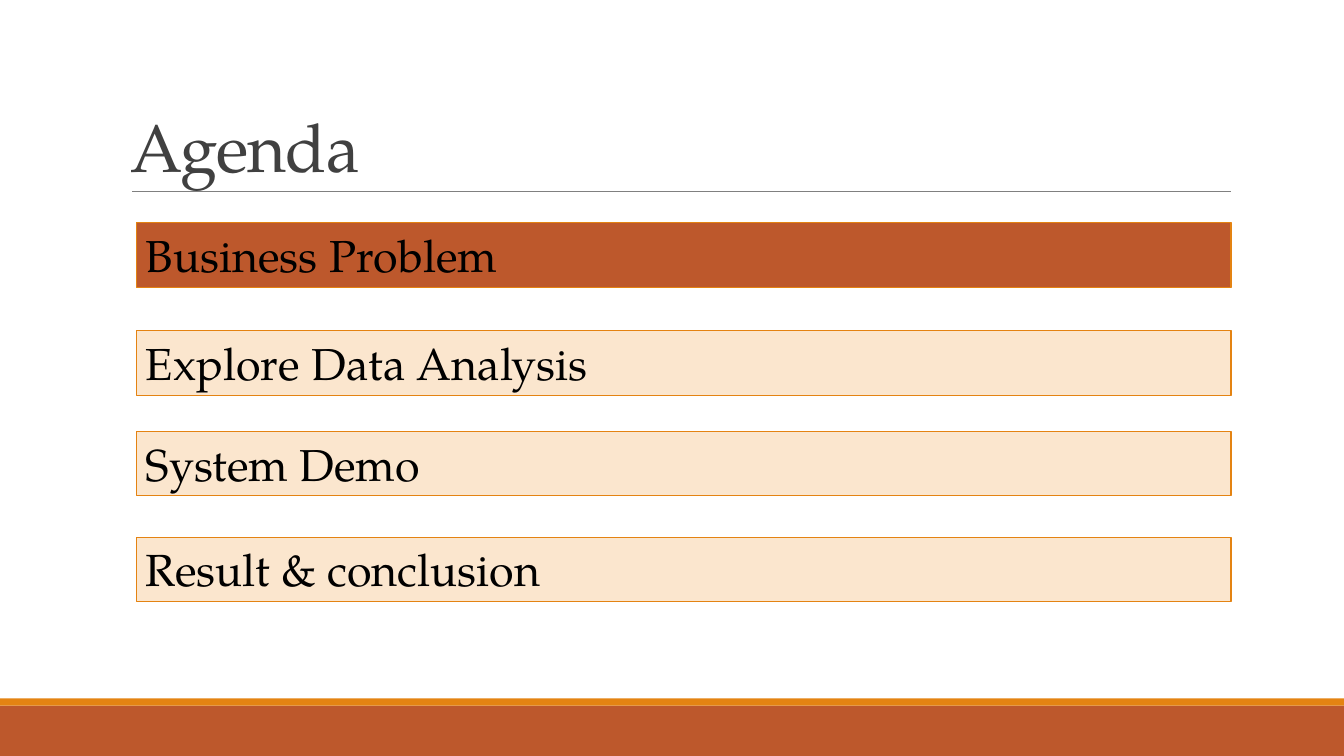
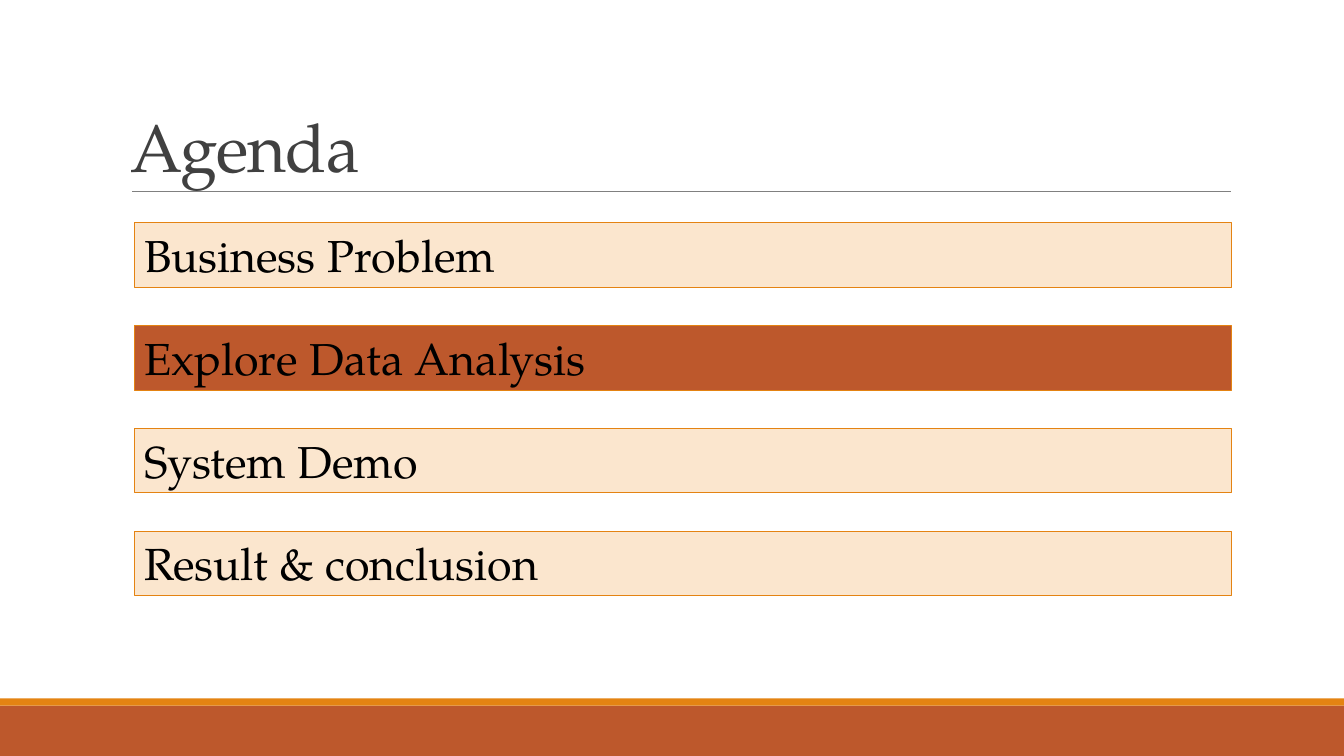
"""Build two agenda slides, each with its current topic marked."""
from pptx import Presentation
from pptx.dml.color import RGBColor as Rgb
from pptx.enum.shapes import MSO_CONNECTOR as Conn, MSO_SHAPE as Kind
from pptx.enum.text import MSO_ANCHOR as Anchor, MSO_AUTO_SIZE as Fit, PP_ALIGN as Align
from pptx.oxml.ns import qn
from pptx.util import Inches, Pt

TITLE = "Agenda"
TOPICS = ["Business Problem", "Explore Data Analysis", "System Demo", "Result & conclusion"]
PAGES = [
    {"mark": 0, "left": 1.35, "wide": 10.86, "tops": [2.21, 3.28, 4.28, 5.33]},
    {"mark": 1, "left": 1.33, "wide": 10.88, "tops": [2.21 + 1.02 * i for i in range(4)]},
]
HUES = {"rust": "BD582C", "gold": "E48312", "cream": "FBE6CE",
        "rule": "808080", "title": "404040", "text": "000000"}
FACE = "TeX Gyre Pagella"
WIDE, HIGH = 13.33, 7.5
BAR, FOOT, STRIPE = 0.64, 0.5, 0.07


def hue(name):
    return Rgb.from_string(HUES[name])


def box(slide, fill, *at):
    shape = slide.shapes.add_shape(Kind.RECTANGLE, *map(Inches, at))
    shape.shadow.inherit = False
    shape.fill.solid()
    shape.fill.fore_color.rgb = hue(fill)
    shape.line.fill.background()
    return shape


def write(shape, text, size, color, frame):
    for key, val in frame.items():
        setattr(shape.text_frame, key, val)
    para = shape.text_frame.paragraphs[0]
    para.alignment = Align.LEFT
    run = para.add_run()
    run.text = text
    for key, val in {"name": FACE, "size": Pt(size)}.items():
        setattr(run.font, key, val)
    run.font.color.rgb = hue(color)
    return para


def base(slide):
    box(slide, "rust", 0, HIGH - FOOT, WIDE, FOOT)
    box(slide, "gold", 0, HIGH - FOOT - STRIPE, WIDE, STRIPE)
    rule = slide.shapes.add_connector(Conn.STRAIGHT, *map(Inches, (1.31, 1.9, 12.21, 1.9)))
    rule.line.color.rgb = hue("rule")
    rule.line.width = Pt(0.5)
    props = rule.element.spPr
    props.append(props.makeelement(qn("a:effectLst"), {}))
    head = slide.shapes.add_textbox(*map(Inches, (1.2, 0.31, 11, 1.59)))
    para = write(head, TITLE, 48, "title",
                 {"word_wrap": True, "vertical_anchor": Anchor.BOTTOM})
    para.line_spacing = 0.85
    for props in head.element.iter(qn("a:rPr")):
        props.set("spc", "-50")


def agenda(slide, page):
    for i, (topic, top) in enumerate(zip(TOPICS, page["tops"])):
        fill = "rust" if i == page["mark"] else "cream"
        bar = box(slide, fill, page["left"], top, page["wide"], BAR)
        bar.line.color.rgb = hue("gold")
        bar.line.width = Pt(0.75)
        write(bar, topic, 32, "text",
              {"word_wrap": True, "vertical_anchor": Anchor.TOP,
               "auto_size": Fit.SHAPE_TO_FIT_TEXT})


def main():
    deck = Presentation()
    deck.slide_width, deck.slide_height = Inches(WIDE), Inches(HIGH)
    for page in PAGES:
        slide = deck.slides.add_slide(deck.slide_layouts[6])
        base(slide)
        agenda(slide, page)
    deck.save("out.pptx")


if __name__ == "__main__":
    main()
